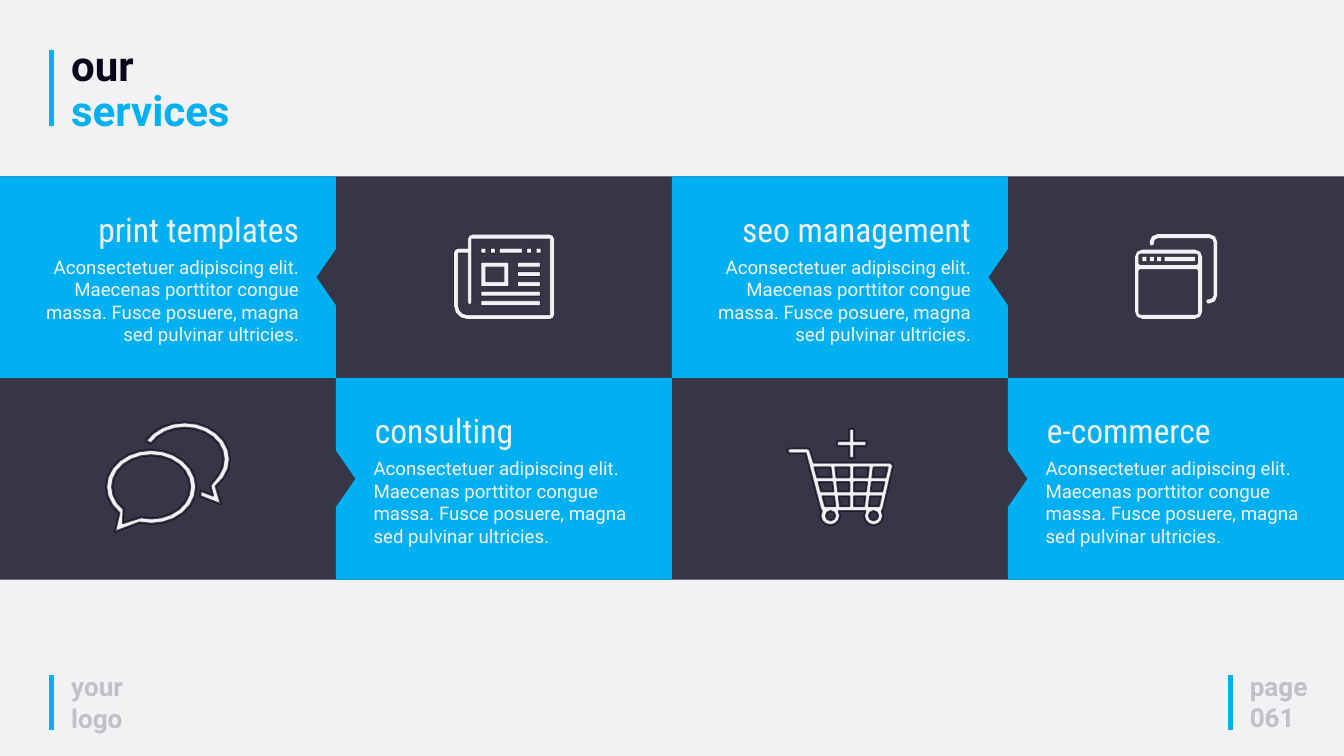
from dataclasses import dataclass
from math import cos, radians, sin

from lxml import etree
from pptx import Presentation
from pptx.dml.color import RGBColor
from pptx.enum.shapes import MSO_CONNECTOR, MSO_SHAPE
from pptx.enum.text import PP_ALIGN
from pptx.oxml.ns import qn
from pptx.util import Emu, Inches, Pt

STRAIGHT = MSO_CONNECTOR.STRAIGHT
RECTANGLE = MSO_SHAPE.RECTANGLE
LEFT, RIGHT = PP_ALIGN.LEFT, PP_ALIGN.RIGHT


@dataclass(frozen=True)
class Theme:
    paper: str = "F2F2F5"
    ink: str = "0A091B"
    accent: str = "00B0F0"
    muted: str = "C0C0C8"
    font: str = "Roboto"
    narrow: str = "Roboto Condensed"
    title: int = 45
    heading: int = 36
    footer: int = 28
    body: int = 20


theme = Theme()
deck = Presentation()
deck.slide_width, deck.slide_height = Inches(20), Inches(11.25)
slide = deck.slides.add_slide(deck.slide_layouts[6])
slide.background.fill.solid()
slide.background.fill.fore_color.rgb = RGBColor.from_string(theme.paper)

UNIT = deck.slide_width / 2000
COLUMN = 500
ROW = 300
BAND_TOP = 262.5


def ring(left, top, right, bottom, rx=0, ry=0, start=0, end=360):
    pitch = 15 if rx > 50 else 30 if rx > 12 else 45 if rx else 90
    points = []
    for quadrant in range(start // 90, -(-end // 90)):
        center_x = right - rx if quadrant % 4 in (0, 3) else left + rx
        center_y = bottom - ry if quadrant % 4 in (0, 1) else top + ry
        for angle in range(quadrant * 90, quadrant * 90 + 91, pitch):
            turn = radians(angle)
            point = (round(center_x + rx * cos(turn), 2),
                     round(center_y + ry * sin(turn), 2))
            if start <= angle <= end and point not in points:
                points.append(point)
    return points


def draw_outline(contours, column, row, color, border=0):
    placed = [[((x + column * COLUMN) * UNIT, (y + row * ROW + BAND_TOP) * UNIT)
               for x, y in contour] for contour in contours]
    builder = slide.shapes.build_freeform(*placed[0][0])
    for index, contour in enumerate(placed):
        if index:
            builder.move_to(*contour[0])
        builder.add_line_segments(contour[1:], close=True)
    outline = builder.convert_to_shape()
    outline.shadow.inherit = False
    outline.fill.solid()
    outline.fill.fore_color.rgb = RGBColor.from_string(color)
    if border:
        outline.line.width = Pt(border)
        outline.line.color.rgb = RGBColor.from_string(theme.ink)
    else:
        outline.line.fill.background()
    return outline


for x, top, bottom in [(77, 1005, 1086), (1831, 1005, 1086), (77, 75, 188)]:
    marker = slide.shapes.add_connector(
        STRAIGHT, Emu(int(x * UNIT)), Emu(int(top * UNIT)),
        Emu(int(x * UNIT)), Emu(int(bottom * UNIT)))
    marker.line.width = Pt(5)
    marker.line.color.rgb = RGBColor.from_string(theme.accent)
    etree.SubElement(marker._element.spPr, qn("a:effectLst"))

for color in (theme.muted, theme.ink):
    band = slide.shapes.add_shape(
        RECTANGLE, 0, Emu(int(BAND_TOP * UNIT)), deck.slide_width, Emu(int(2 * ROW * UNIT)))
    band.shadow.inherit = False
    band.fill.solid()
    band.fill.fore_color.rgb = RGBColor.from_string(color)
    band.line.fill.background()
veiled = [band]

chat = [
    ring(208, 66, 342, 176, 67, 55, 200, 405)
    + [(321, 161), (329, 188), (298, 176), (299, 168), (317, 175), (313, 160)]
    + ring(217, 74, 333, 168, 58, 47, 210, 400)[::-1],
    ring(158, 107, 292, 217, 67, 55, 135, 465) + [(171, 229)],
    ring(167, 115, 283, 209, 58, 47, 135, 465) + [(183, 216)],
]

newspaper = [
    ring(175, 107, 325, 213, 21, 21, 90, 180)
    + ring(175, 107, 325, 213, 7, 7, 180, 270)
    + [(196, 107)] + ring(196, 86, 325, 213, 7, 7, 180, 450),
    [(182, 114), (196, 114), (196, 188), (199, 192), (202, 188),
     (202, 93), (318, 93), (318, 206)] + ring(182, 93, 318, 206, 14, 14, 90, 180),
    ring(216, 128, 257, 164),
    ring(223, 135, 250, 157),
]
print_lines = [(x, x + 7, 107) for x in (216, 230, 284, 298)] + [(243, 277, 107)]
print_lines += [(270, 304, y) for y in (128, 142, 157)]
print_lines += [(216, 304, y) for y in (171, 185)]
newspaper += [ring(start, y, end, y + 7) for start, end, y in print_lines]

browser = [
    ring(189, 109, 289, 212, 11, 11),
    ring(194, 138, 283, 206, 3, 3),
    ring(194, 115, 283, 132, 3, 3),
    [(211, 101)] + ring(211, 86, 311, 189, 11, 11, 180, 450)
    + [(297, 189), (295, 186), (297, 183)]
    + ring(217, 92, 306, 183, 6, 6, 180, 450)[::-1] + [(217, 101), (214, 103)],
]
browser += [ring(start, 120, end, 126)
            for start, end in [(200, 206), (211, 217), (222, 228), (233, 278)]]

cart = [
    [(246, 94), (264, 94), (264, 76), (271, 76), (271, 94), (289, 94),
     (289, 101), (271, 101), (271, 119), (264, 119), (264, 101), (246, 101)],
    [(171, 108), (175, 105), (202, 105), (205, 107), (211, 126),
     (325, 126), (329, 130), (314, 195)]
    + ring(286, 191, 314, 219, 14, 14, 330, 570)
    + ring(221, 191, 250, 219, 14.5, 14, 330, 570)
    + [(221, 195), (199, 112), (175, 112)],
    ring(229, 198, 243, 212, 7, 7),
    ring(293, 198, 307, 212, 7, 7),
]
for top, bottom in [(133, 148), (155, 169), (176, 191)]:
    upper, lower = (top - 133) / 58, (bottom - 133) / 58
    for left, left_foot, right, right_foot in [
            (212, 228, 236, 243), (243, 250, 264, 264),
            (271, 271, 293, 286), (300, 293, 321, 308)]:
        cart.append([
            (left + (left_foot - left) * upper, top),
            (right + (right_foot - right) * upper, top),
            (right + (right_foot - right) * lower, bottom),
            (left + (left_foot - left) * lower, bottom)])

notched_tile = [(0, 0), (500, 0), (500, 300), (0, 300), (0, 192), (29, 150), (0, 108)]
blurb = ("Aconsectetuer adipiscing elit. Maecenas porttitor congue massa. "
         "Fusce posuere, magna sed pulvinar ultricies.")
captions = [
    (96, 993, 119, 104, LEFT, 1, theme.font, theme.footer, True,
     [[("your logo", theme.muted)]]),
    (96, 62, 596, 146, LEFT, 0.9, theme.font, theme.title, True,
     [[("our", theme.ink), ("services", theme.accent)]]),
    (1850, 992, 190, 104, LEFT, 1, theme.font, theme.footer, True,
     [[("page", theme.muted)], [("061", theme.muted)]]),
]
services = [
    ("consulting", 1, 1, chat, 0, 2.25),
    ("print templates", 0, 0, newspaper, 1, 0.75),
    ("seo management", 2, 0, browser, 3, 0),
    ("e-commerce", 3, 1, cart, 2, 2),
]
for service, column, row, icon, icon_column, border in services:
    tile = notched_tile if row else [(COLUMN - x, y) for x, y in notched_tile]
    draw_outline([tile], column, row, theme.accent)
    veiled.append(draw_outline(icon, icon_column, row, theme.paper, border))
    align = LEFT if row else RIGHT
    left, top = column * COLUMN, BAND_TOP + row * ROW
    captions += [
        (left + 46, top + 113, 409, 145, align, 1, theme.font, theme.body, False,
         [[(blurb, theme.paper)]]),
        (left + 48, top + 43, 407, 71, align, 1, theme.narrow, theme.heading, False,
         [[(service, theme.paper)]]),
    ]

for shape in veiled:
    for tint in shape._element.spPr.iter(qn("a:srgbClr")):
        if tint.get("val") == theme.ink:
            etree.SubElement(tint, qn("a:alpha"), val="75000")

for left, top, width, height, align, spacing, font, size, bold, paragraphs in captions:
    frame = slide.shapes.add_textbox(
        *(Emu(int(length * UNIT)) for length in (left, top, width, height))).text_frame
    frame.word_wrap = True
    for index, pieces in enumerate(paragraphs):
        paragraph = frame.add_paragraph() if index else frame.paragraphs[0]
        paragraph.alignment = align
        paragraph.line_spacing = spacing
        for position, (words, color) in enumerate(pieces):
            if position:
                paragraph.add_line_break()
            run = paragraph.add_run()
            run.text = words
            run.font.name = font
            run.font.size = Pt(size)
            run.font.bold = bold
            run.font.color.rgb = RGBColor.from_string(color)

deck.save("out.pptx")
